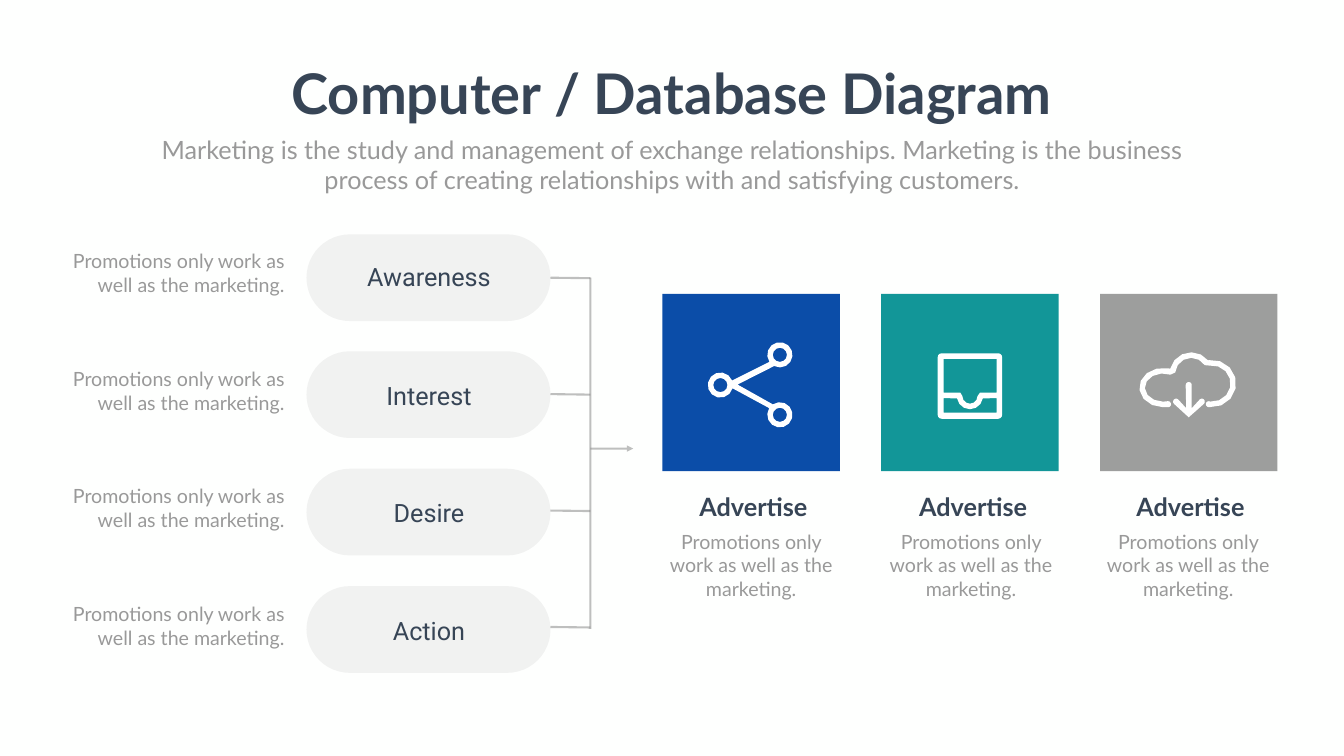
from math import ceil, cos, radians, sin

from lxml.etree import SubElement
from pptx import Presentation
from pptx.dml.color import RGBColor
from pptx.enum.shapes import MSO_CONNECTOR, MSO_SHAPE
from pptx.enum.text import PP_ALIGN
from pptx.oxml.ns import qn
from pptx.util import Inches, Pt

COLORS = {
    "background": "FEFFFE",
    "dark": "374556",
    "muted": "999999",
    "neutral": "808080",
    "blue": "0B4DA8",
    "teal": "129698",
    "gray": "9D9E9D",
    "white": "FFFFFF",
}
PROMOTION = "Promotions only work as well as the marketing."

prs = Presentation()
prs.slide_width = Inches(26.66)
prs.slide_height = Inches(15)
slide = prs.slides.add_slide(prs.slide_layouts[6])
slide.background.fill.solid()
slide.background.fill.fore_color.rgb = RGBColor.from_string(COLORS["background"])


def add_text(text, left, top, width, height, size=28, color="muted", font="Lato",
             bold=False, align=PP_ALIGN.CENTER, wrap=True):
    box = slide.shapes.add_textbox(Inches(left), Inches(top), Inches(width), Inches(height))
    box.text_frame.word_wrap = wrap
    paragraph = box.text_frame.paragraphs[0]
    paragraph.text = text
    paragraph.alignment = align
    paragraph.font.name = font
    paragraph.font.size = Pt(size)
    paragraph.font.bold = bold
    paragraph.font.color.rgb = RGBColor.from_string(COLORS[color])


def arc(x, y, rx, ry, start, end):
    steps = ceil(abs(end - start) / 30)
    angles = [radians(start + (end - start) * i / steps) for i in range(steps + 1)]
    return [(x + rx * cos(a), y + ry * sin(a)) for a in angles]


add_text("Computer / Database Diagram", 5.6, 1.12, 15.45, 1.45, size=80, color="dark",
         bold=True, wrap=False)
add_text("Marketing is the study and management of exchange relationships. Marketing is the "
         "business process of creating relationships with and satisfying customers.",
         2.92, 2.61, 20.82, 1.31, size=36)

stages = [("Awareness", 4.65, 5.14), ("Interest", 6.97, 7.49),
          ("Desire", 9.3, 9.81), ("Action", 11.63, 12.15)]
for stage, pill_top, label_top in stages:
    pill = slide.shapes.add_shape(MSO_SHAPE.ROUNDED_RECTANGLE, Inches(6.08), Inches(pill_top),
                                  Inches(4.84), Inches(1.72))
    pill.adjustments[0] = 0.5
    pill.shadow.inherit = False
    pill.line.fill.background()
    pill.fill.solid()
    pill.fill.fore_color.rgb = RGBColor.from_string(COLORS["neutral"])
    pill_color = pill._element.spPr.find(qn("a:solidFill"))[0]
    SubElement(pill_color, qn("a:alpha"), val="10000")
    add_text(stage, 6.78, label_top, 3.46, 0.71, size=36, color="dark", font="Roboto")
    add_text(PROMOTION, 0.89, label_top - 0.25, 4.85, 1.04, align=PP_ALIGN.RIGHT)

branches = [(10.92, 5.51 + 2.31 * row, 11.71, 5.52 + 2.31 * row) for row in range(4)]
trunk = (11.71, 5.51, 11.71, 12.48)
arrow = (11.71, 8.9, 12.56, 8.9)
for ends in [*branches, trunk, arrow]:
    link = slide.shapes.add_connector(MSO_CONNECTOR.STRAIGHT, *[Inches(v) for v in ends])
    link.line.width = Pt(3)
    link.line.color.rgb = RGBColor.from_string(COLORS["neutral"])
    outline = link.line._get_or_add_ln()
    SubElement(outline.find(qn("a:solidFill"))[0], qn("a:alpha"), val="50000")
    if ends == arrow:
        SubElement(outline, qn("a:tailEnd"), type="triangle")
    SubElement(link._element.spPr, qn("a:effectLst"))

tiles = [("blue", 13.14, 13.14), ("teal", 17.48, 17.5), ("gray", 21.82, 21.81)]
for tile_color, tile_left, text_left in tiles:
    tile = slide.shapes.add_shape(MSO_SHAPE.RECTANGLE, Inches(tile_left), Inches(5.83),
                                  Inches(3.52), Inches(3.52))
    tile.shadow.inherit = False
    tile.line.fill.background()
    tile.fill.solid()
    tile.fill.fore_color.rgb = RGBColor.from_string(COLORS[tile_color])
    add_text("Advertise", text_left + 0.5, 9.7, 2.61, 0.71, size=36, color="dark", bold=True)
    add_text(PROMOTION, text_left, 10.46, 3.52, 1.51)

share_nodes = [(15.47, 8.23), (14.29, 7.64), (15.47, 7.04)]
share = [
    arc(*share_nodes[0], 0.25, 0.25, -124, 212)
    + arc(*share_nodes[1], 0.25, 0.25, 15, 339)
    + arc(*share_nodes[2], 0.25, 0.25, 146, 477)
    + [(14.63, 7.63)],
    *[arc(x, y, 0.14, 0.14, 0, 360) for x, y in share_nodes],
]
inbox = [
    arc(18.68, 7.09, 0.08, 0.08, 180, 270) + arc(19.8, 7.09, 0.08, 0.08, 270, 360)
    + arc(19.8, 8.23, 0.08, 0.08, 0, 90) + arc(18.68, 8.23, 0.08, 0.08, 90, 180),
    [(18.72, 7.12), (19.77, 7.12), (19.77, 7.79), (19.44, 7.79)]
    + arc(19.24, 7.86, 0.15, 0.15, 0, 180) + [(19.05, 7.79), (18.72, 7.79)],
    [(18.72, 8.19), (18.72, 7.9)] + arc(19.24, 7.86, 0.26, 0.26, 170, 10)
    + [(19.77, 7.9), (19.77, 8.19)],
]
cloud = [
    arc(24.04, 7.61, 0.48, 0.47, 95, -98)
    + arc(23.63, 7.42, 0.43, 0.43, -38, -166)
    + arc(23.07, 7.69, 0.47, 0.39, -78, -270)
    + arc(23.17, 8.02, 0.06, 0.06, 90, -90)
    + arc(23.07, 7.69, 0.36, 0.28, -270, -66)
    + arc(23.63, 7.42, 0.32, 0.32, -175, -33)
    + arc(24.04, 7.61, 0.37, 0.36, -98, 95)
    + arc(23.98, 8.02, 0.06, 0.06, -90, -270),
]
download = [
    [(23.53, 8.1)] + arc(23.58, 7.64, 0.06, 0.06, 180, 360) + [(23.64, 8.1)]
    + arc(23.84, 7.97, 0.06, 0.06, 225, 405) + [(23.58, 8.28)]
    + arc(23.33, 7.97, 0.06, 0.06, 135, 315),
]
for contours in [share, inbox, cloud, download]:
    paths = [[(Inches(x), Inches(y)) for x, y in contour] for contour in contours]
    builder = slide.shapes.build_freeform(*paths[0][0])
    builder.add_line_segments(paths[0][1:])
    for hole in paths[1:]:
        builder.move_to(*hole[0])
        builder.add_line_segments(hole[1:])
    icon = builder.convert_to_shape()
    icon.shadow.inherit = False
    icon.line.fill.background()
    icon.fill.solid()
    icon.fill.fore_color.rgb = RGBColor.from_string(COLORS["white"])

prs.save("out.pptx")
